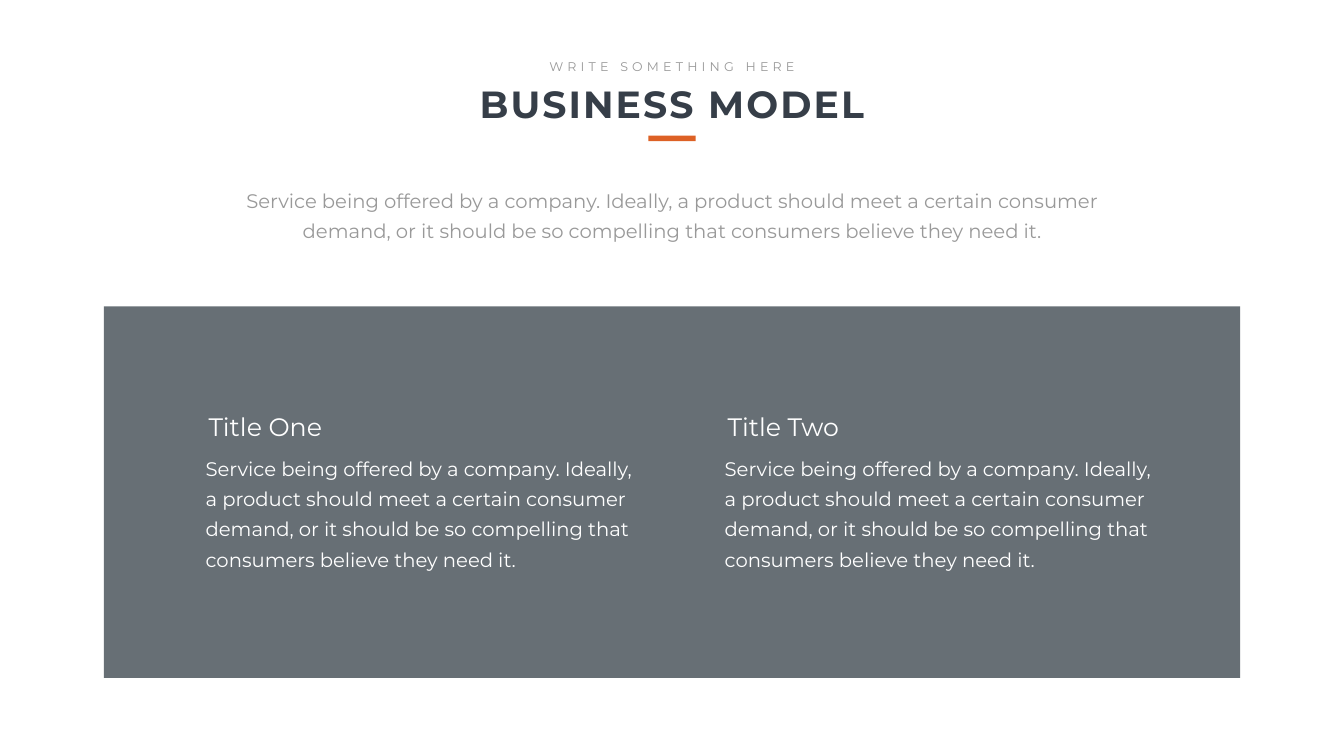
from pptx import Presentation
from pptx.dml.color import RGBColor
from pptx.enum.shapes import MSO_SHAPE
from pptx.enum.text import MSO_ANCHOR, MSO_AUTO_SIZE, PP_ALIGN
from pptx.oxml.ns import qn
from pptx.util import Inches, Pt
from lxml.etree import SubElement

WIDE, HIGH = 26.66, 15
PITCH = "Service being offered by a company. Ideally, a product should meet a certain consumer demand, or it should be so compelling that consumers believe they need it."


def paint(hue):
    return RGBColor.from_string(hue)


def write(shape, text, size=28, hue="FFFFFF", bold=False, align=PP_ALIGN.LEFT,
          track=0, lead=None, inset=(0.1, 0.05), wrap=True):
    frame = shape.text_frame
    frame.word_wrap = wrap
    frame.auto_size = MSO_AUTO_SIZE.NONE
    frame.vertical_anchor = MSO_ANCHOR.TOP
    frame.margin_left = frame.margin_right = Inches(inset[0])
    frame.margin_top = frame.margin_bottom = Inches(inset[1])
    para = frame.paragraphs[0]
    para.alignment = align
    para.space_before = Pt(0)
    para.line_spacing = Pt(lead) if lead else 1.0
    # No bullet or hanging indent
    props = para._p.get_or_add_pPr()
    props.set("marL", "0")
    props.set("indent", "0")
    SubElement(props, qn("a:buNone"))
    run = para.add_run()
    run.text = text
    font = run.font
    font.name, font.size, font.bold = "Montserrat", Pt(size), bold
    font.color.rgb = paint(hue)
    if track:
        run._r.get_or_add_rPr().set("spc", str(track * 100))


class Deck:
    """Places elements on a grid of 100 columns and 100 rows."""
    dark, grey, accent, slate = "363E48", "999999", "DD6125", "424C53"
    prose = {"lead": 43, "inset": (0.24, 0.12)}

    def __init__(self):
        self.file = Presentation()
        self.file.slide_width, self.file.slide_height = Inches(WIDE), Inches(HIGH)
        # Comparison layout: title, then two pairs of heading and content
        self.slide = self.file.slides.add_slide(self.file.slide_layouts[4])

    def area(self, top, width, height, left=None):
        """Turn grid units into lengths; centre when no left is given."""
        if left is None:
            left = (100 - width) / 2
        return [Inches(WIDE * left / 100), Inches(HIGH * top / 100),
                Inches(WIDE * width / 100), Inches(HIGH * height / 100)]

    def block(self, box, hue, alpha=None):
        shape = self.slide.shapes.add_shape(MSO_SHAPE.RECTANGLE, *box)
        shape.shadow.inherit = False
        shape.line.fill.background()
        shape.fill.solid()
        shape.fill.fore_color.rgb = paint(hue)
        if alpha:
            tint = shape._element.spPr.find(".//" + qn("a:srgbClr"))
            SubElement(tint, qn("a:alpha")).set("val", str(alpha * 1000))
        return shape

    def back(self, shape):
        self.slide.shapes._spTree.insert(2, shape._element)

    def hold(self, slot, box, text, **style):
        shape = self.slide.placeholders[slot]
        shape.left, shape.top, shape.width, shape.height = box
        write(shape, text, **style)

    def label(self, box, text, **style):
        write(self.slide.shapes.add_textbox(*box), text, **style)


def main():
    deck = Deck()
    mid = PP_ALIGN.CENTER

    # Panel behind the two columns
    deck.back(deck.block(deck.area(40.53, 84.54, 49.13), deck.slate, alpha=80))

    # Header
    deck.hold(0, deck.area(10.33, 39.91, 6.73), "BUSINESS MODEL",
              size=54, hue=deck.dark, bold=True, align=mid, track=3)
    deck.label(deck.area(7.47, 19.43, 2.67), "WRITE SOMETHING HERE",
               size=18, hue=deck.grey, align=mid, track=6, wrap=False)
    deck.block(deck.area(17.93, 3.53, 0.73), deck.accent)
    deck.label(deck.area(23.33, 65.87, 9.27), PITCH,
               hue=deck.grey, align=mid, **deck.prose)

    # Two columns
    for col, name in enumerate(("Title One", "Title Two")):
        left = 14.4 + 38.62 * col
        slot = 1 + 2 * col
        deck.hold(slot, deck.area(54.07, 21.27, 4.73, left + 0.74), name, size=36)
        deck.hold(slot + 1, deck.area(58.8, 33.8, 17.33, left), PITCH, **deck.prose)

    deck.file.save("out.pptx")


if __name__ == "__main__":
    main()
